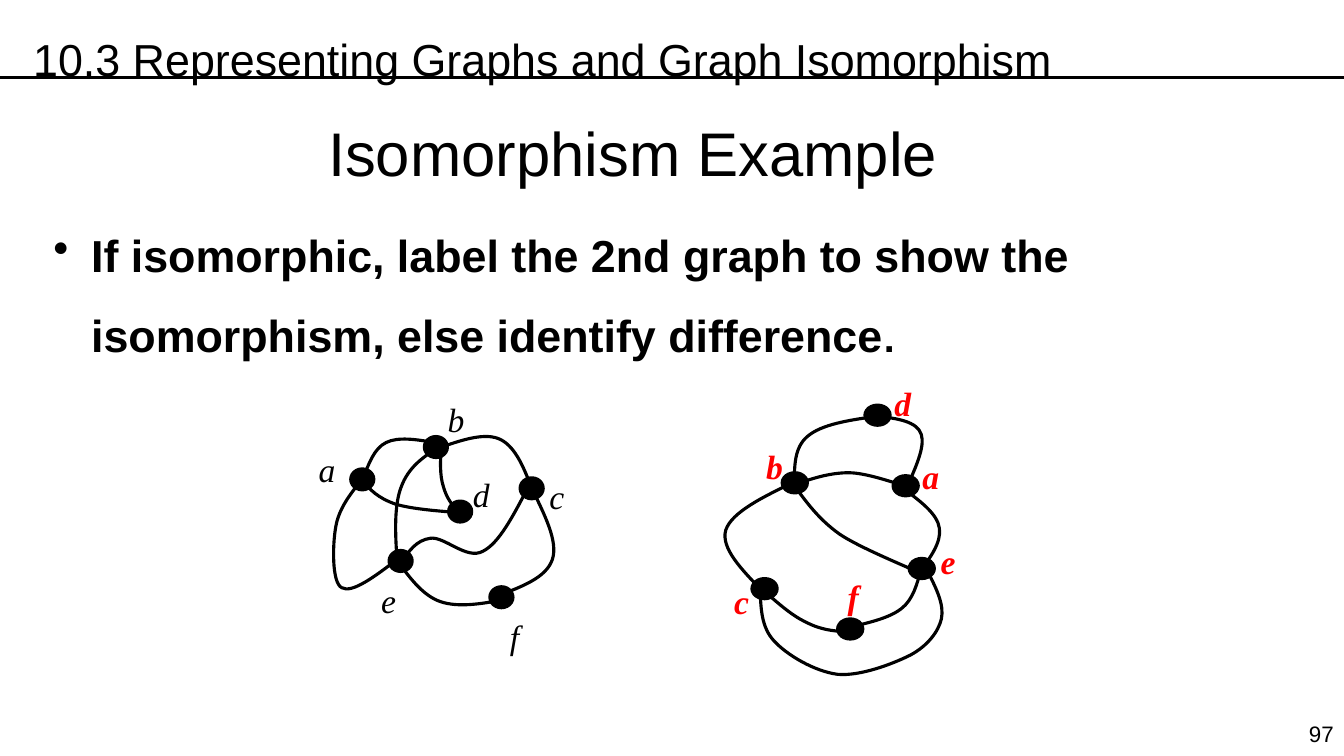
from dataclasses import dataclass

from lxml import etree
from pptx import Presentation
from pptx.dml.color import RGBColor
from pptx.enum.shapes import MSO_CONNECTOR, MSO_SHAPE
from pptx.enum.text import MSO_ANCHOR, MSO_AUTO_SIZE, PP_ALIGN
from pptx.oxml.ns import qn
from pptx.util import Pt

OVAL = MSO_SHAPE.OVAL
LEFT, MID, RIGHT = PP_ALIGN.LEFT, PP_ALIGN.CENTER, PP_ALIGN.RIGHT
GROW = MSO_AUTO_SIZE.SHAPE_TO_FIT_TEXT
BLACK, RED = "000000", "FF0000"
SANS, SERIF = "Arial", "Times New Roman"
STROKE = 2.25
WIDTHS = {"a": 26.6, "b": 26.6, "c": 25.2, "d": 26.6, "e": 25.2, "f": 21}


@dataclass
class Node:
    name: str
    x: float
    y: float
    tagx: float
    tagy: float


@dataclass
class Graph:
    wide: float
    high: float
    color: str
    bold: bool
    nodes: list[Node]
    edges: list[list[float]]  # start point, then three points per curve


FIRST = Graph(16.5, 15, BLACK, False, [
    Node("a", 258.8, 342.4, 233.6, 334.8),
    Node("b", 311.4, 319.3, 325.8, 299.5),
    Node("c", 379.8, 348.8, 397.8, 354.2),
    Node("d", 328.7, 365.4, 343.8, 352.8),
    Node("e", 286.2, 400.7, 277.6, 428.4),
    Node("f", 358.2, 426.6, 367.6, 454.3),
], [
    [259.2, 343.4, 264.2, 349.9, 270, 355.7, 282.2, 360,
     293.8, 363.6, 312.5, 365, 331.9, 366.5],
    [259.2, 342, 263.5, 331.2, 267.1, 320.4, 275.8, 316.1,
     284.4, 311.8, 297.4, 313.9, 310.3, 316.1],
    [328.3, 366.5, 323.3, 361.4, 319, 355.7, 316.8, 347.8,
     313.9, 339.1, 314.6, 328.3, 315.4, 317.5],
    [311.8, 320.4, 301.7, 326.9, 291.6, 334.1, 286.6, 347.8,
     281.5, 360.7, 282.2, 380.9, 283.7, 401],
    [308.9, 321.8, 326.2, 315.4, 344.2, 308.9, 355.7, 313.2,
     367.2, 317.5, 373.7, 332.6, 379.4, 347.8],
    [286.6, 402.5, 291.6, 393.8, 297.4, 385.9, 307.4, 384.5,
     317.5, 383, 333.4, 400.3, 344.9, 393.8,
     356.4, 388.1, 366.5, 368.6, 376.6, 349.2],
    [257.8, 343.4, 249.8, 353.5, 241.9, 363.6, 239.8, 376.6,
     237.6, 388.8, 236.9, 416.2, 244.1, 419.8,
     251.3, 424.1, 267.8, 411.8, 283.7, 399.6],
    [285.1, 402.5, 293.8, 414, 302.4, 425.5, 314.6, 429.8,
     327.6, 434.2, 344.2, 431.3, 360, 428.4],
    [355.7, 425.5, 373, 419, 390.2, 412.6, 394.6, 399.6,
     398.9, 386.6, 388.8, 367.2, 379.4, 347.8],
])

SECOND = Graph(18, 14.4, RED, True, [
    Node("a", 646.9, 347, 664.9, 339.8),
    Node("b", 567.7, 344.9, 553.3, 332.6),
    Node("c", 546.1, 420.5, 529.6, 429.1),
    Node("d", 626.8, 296.6, 644.8, 288),
    Node("e", 658.4, 406.1, 677.2, 401),
    Node("f", 607.3, 449.3, 608.8, 425.5),
], [
    [567.4, 345.6, 567.4, 332.6, 567.4, 319.7, 576.7, 311.8,
     586.8, 303.1, 606.2, 300.2, 625.7, 297.4],
    [627.1, 297.4, 640.8, 298.8, 655.2, 301, 658.1, 310.3,
     661, 319, 653.8, 334.8, 646.6, 350.6],
    [565.9, 347, 578.9, 342, 592.6, 337.7, 606.2, 337.7,
     619.2, 337.7, 640.1, 345.6, 646.6, 347],
    [567.4, 347, 576, 358.6, 584.6, 370.8, 599.8, 381.6,
     614.9, 391.7, 649.4, 405.4, 659.5, 410.4],
    [646.6, 349.9, 658.1, 358.6, 669.6, 367.2, 671, 377.3,
     672.5, 387.4, 664.6, 398.2, 656.6, 409],
    [567.4, 344.2, 545, 355, 522.7, 365.8, 518.4, 378.7,
     514.8, 391.7, 529.9, 406.8, 544.3, 421.9],
    [541.4, 418.3, 553, 428.4, 564.5, 439.2, 575.3, 444.2,
     586.1, 450, 595.4, 450.7, 604.8, 451.4],
    [604.8, 448.6, 619.2, 445, 634.3, 442.1, 643.7, 434.9,
     652.3, 428.4, 655.2, 416.9, 658.1, 406.1],
    [542.9, 420.5, 543.6, 434.2, 543.6, 447.8, 553, 457.9,
     562.3, 468, 581.8, 479.5, 598.3, 481.7,
     614.2, 483.1, 637.2, 474.5, 650.2, 468,
     662.4, 461.5, 670.3, 451.4, 672.5, 442.1,
     674.6, 432, 668.9, 420.5, 663.1, 409],
])


def paint(target, color: str) -> None:
    target.rgb = RGBColor.from_string(color)


def style(font, size: float, face: str = SANS, color: str = BLACK,
          bold: bool = False, italic: bool = False) -> None:
    font.size, font.name = Pt(size), face
    font.bold, font.italic = bold, italic
    paint(font.color, color)


def stroke(line) -> None:
    line.width = Pt(STROKE)
    line.fill.solid()
    paint(line.fill.fore_color, BLACK)


def add_box(slide, area: tuple, align, grow: bool = True, wrap: bool = True):
    frame = slide.shapes.add_textbox(*map(Pt, area)).text_frame
    frame.word_wrap = wrap
    if grow:
        frame.auto_size = GROW
    para = frame.paragraphs[0]
    para.alignment = align
    return frame, para


def add_text(slide, text: str, area: tuple, size: float, align,
             grow: bool = True) -> None:
    _, para = add_box(slide, area, align, grow)
    para.text = text
    style(para.font, size)
    if align == LEFT:
        para.line_spacing = 1.5


def add_task(slide) -> None:
    _, para = add_box(slide, (31, 139.7, 938.2, 116.6), LEFT)
    para.line_spacing = 1.5
    props = para._p.get_or_add_pPr()
    props.set("marL", str(Pt(27)))
    props.set("indent", str(-Pt(27)))
    etree.SubElement(props, qn("a:buChar")).set("char", "•")
    for text, size in (("If isomorphic, label the 2nd graph to show the "
                        "isomorphism, else identify difference", 32), (".", 28)):
        run = para.add_run()
        run.text = text
        style(run.font, size, bold=True)


def add_edge(slide, edge: list[float]) -> None:
    spots = [(Pt(x), Pt(y)) for x, y in zip(edge[::2], edge[1::2])]
    form = slide.shapes.build_freeform(*spots[0], scale=1.0)
    form.add_line_segments(spots[1:], close=False)
    shape = form.convert_to_shape()
    shape.shadow.inherit = False
    shape.fill.background()
    stroke(shape.line)
    # Turn each three line ends into one cubic curve
    lines = list(shape._element.iter(qn("a:lnTo")))
    home = lines[0].getparent()
    for i in range(0, len(lines), 3):
        curve = etree.SubElement(home, qn("a:cubicBezTo"))
        for line in lines[i:i + 3]:
            curve.append(line[0])
            home.remove(line)


def add_graph(slide, graph: Graph) -> None:
    for node in graph.nodes:
        dot = slide.shapes.add_shape(
            OVAL, Pt(node.x - graph.wide / 2), Pt(node.y - graph.high / 2),
            Pt(graph.wide), Pt(graph.high))
        dot.shadow.inherit = False
        dot.fill.solid()
        paint(dot.fill.fore_color, BLACK)
        stroke(dot.line)
    for edge in graph.edges:
        add_edge(slide, edge)
    for node in graph.nodes:
        wide = WIDTHS[node.name]
        area = (node.tagx - wide / 2, node.tagy - 18, wide, 36)
        frame, para = add_box(slide, area, MID, wrap=False)
        frame.vertical_anchor = MSO_ANCHOR.MIDDLE
        para.text = node.name
        style(para.font, 24, SERIF, graph.color, graph.bold, True)


def main() -> None:
    deck = Presentation()
    deck.slide_width, deck.slide_height = Pt(960), Pt(540)
    slide = deck.slides.add_slide(deck.slide_layouts[6])

    # Header rule and page number
    rule = slide.shapes.add_connector(
        MSO_CONNECTOR.STRAIGHT, Pt(-0.5), Pt(55.5), Pt(960), Pt(55.5))
    stroke(rule.line)
    etree.SubElement(rule._element.spPr, qn("a:effectLst"))
    add_text(slide, "97", (914.4, 511.2, 45.4, 26.6), 16, RIGHT)

    # Headings and task
    add_text(slide, "10.3 Representing Graphs and Graph Isomorphism",
             (16.6, 0, 870.5, 58.3), 32, LEFT)
    add_task(slide)
    add_text(slide, "Isomorphism Example", (128.2, 78.5, 648, 90), 44, MID, False)

    # The two graphs
    for graph in (FIRST, SECOND):
        add_graph(slide, graph)
    deck.save("out.pptx")


if __name__ == "__main__":
    main()
